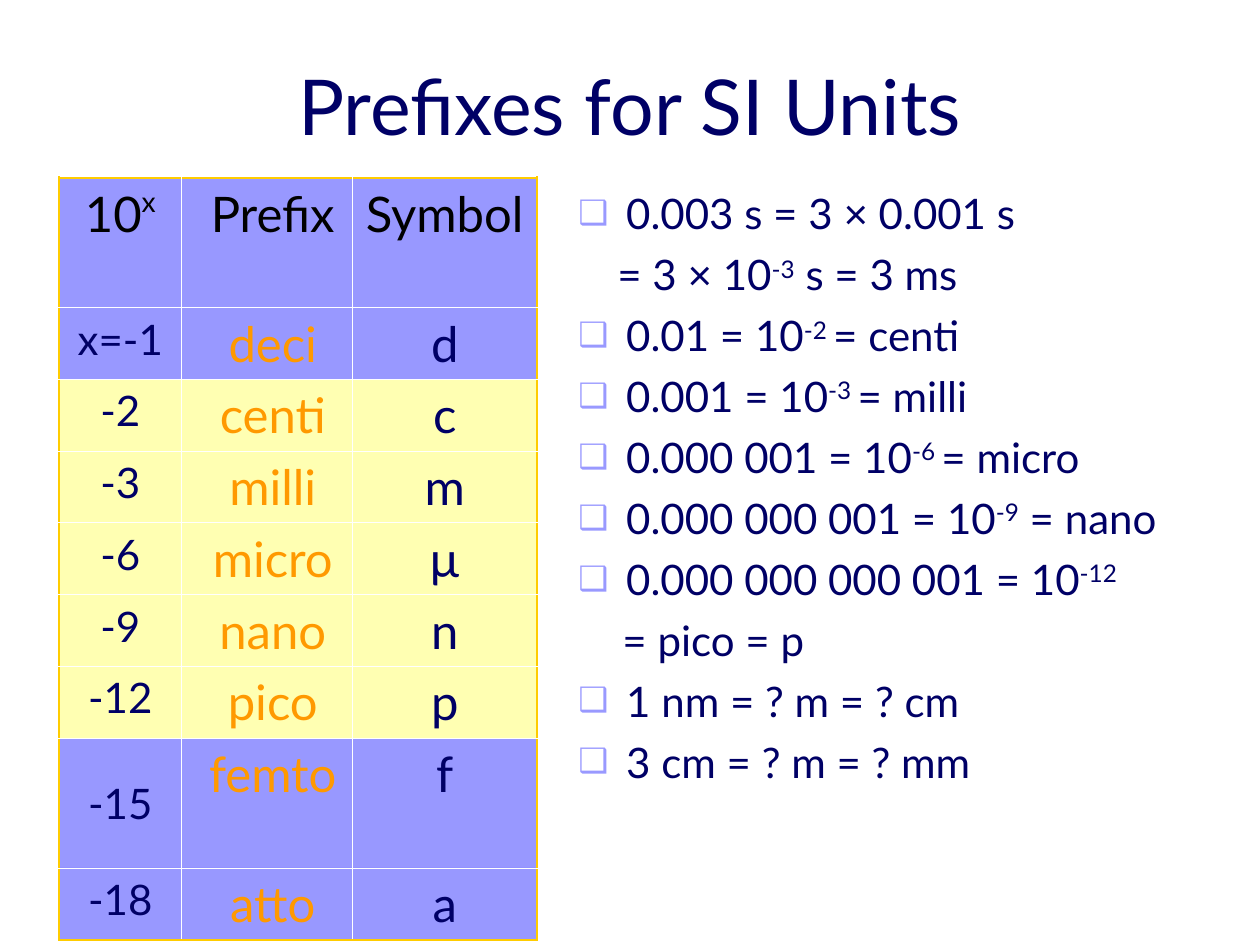
from dataclasses import dataclass
from itertools import groupby
from lxml.etree import SubElement
from pptx import Presentation
from pptx.dml.color import RGBColor
from pptx.enum.text import MSO_ANCHOR, MSO_AUTO_SIZE, PP_ALIGN
from pptx.oxml import parse_xml
from pptx.oxml.ns import nsdecls, qn
from pptx.util import Inches, Pt


@dataclass(frozen=True)
class Theme:
    font: str = "Lato"
    sign_font: str = "Arial"
    ink: str = "000066"
    black: str = "000000"
    orange: str = "FF9900"
    gold: str = "FFCC00"
    white: str = "FFFFFF"
    blue: str = "3333FF"
    yellow: str = "FFFF66"
    bullet: str = "9999FF"
    title: int = 44
    large: int = 28
    text: int = 24
    thick: float = 1.47
    thin: float = 0.45


theme = Theme()


def write(para, text, size, color, raised=30):
    for number, part in enumerate(text.split("^")):
        for is_sign, letters in groupby(part, key=lambda letter: letter == "×"):
            span = para.add_run()
            span.text = "".join(letters)
            values = {"name": theme.sign_font if is_sign else theme.font, "size": Pt(size)}
            for name, value in values.items():
                setattr(span.font, name, value)
            span.font.color.rgb = RGBColor.from_string(color)
            if number % 2:
                span.font._element.set("baseline", str(raised * 1000))


def place(box, left, top, width, height):
    values = {"left": left, "top": top, "width": width, "height": height}
    for name, value in values.items():
        setattr(box, name, int(value * unit))


deck = Presentation()
deck.slide_width, deck.slide_height = Inches(10), Inches(7.5)
unit = deck.slide_width / 100
page = deck.slides.add_slide(deck.slide_layouts[1])

title = page.shapes.title
place(title, 5, 3.3, 90, 10)
title.text_frame.vertical_anchor = MSO_ANCHOR.MIDDLE
title.text_frame.auto_size = MSO_AUTO_SIZE.NONE
title.text_frame.paragraphs[0].alignment = PP_ALIGN.CENTER
write(title.text_frame.paragraphs[0], "Prefixes for SI Units", theme.title, theme.ink)

examples = [
    ("0.003 s = 3 × 0.001 s", None),
    ("= 3 × 10^-3^ s = 3 ms", 3.1),
    ("0.01 = 10^-2 ^= centi", None),
    ("0.001 = 10^-3 ^= milli", None),
    ("0.000 001 = 10^-6 ^= micro", None),
    ("0.000 000 001 = 10^-9^ = nano", None),
    ("0.000 000 000 001 = 10^-12", None),
    ("= pico = p", 3.5),
    ("1 nm = ? m = ? cm", None),
    ("3 cm = ? m = ? mm", None),
]
hanging = 3.8
body = page.placeholders[1]
place(body, 44.9, 14.4, 49.9, 50.8)
body.text_frame.auto_size = MSO_AUTO_SIZE.NONE
for number, (text, indent) in enumerate(examples):
    para = body.text_frame.add_paragraph() if number else body.text_frame.paragraphs[0]
    props = para._p.get_or_add_pPr()
    if indent is None:
        props.set("marL", str(int(hanging * unit)))
        props.set("indent", str(int(-hanging * unit)))
        SubElement(SubElement(props, qn("a:buClr")), qn("a:srgbClr")).set("val", theme.bullet)
        SubElement(props, qn("a:buSzPct")).set("val", "80000")
        SubElement(props, qn("a:buChar")).set("char", "❑")
    else:
        props.set("marL", str(int(indent * unit)))
        props.set("indent", "0")
        SubElement(props, qn("a:buNone"))
    para.space_before = Pt(6 if number else 0)
    write(para, text, theme.text, theme.ink)

prefixes = [
    ("10^x", "Prefix", "Symbol"),
    ("x=-1", "deci", "d"),
    ("-2", "centi", "c"),
    ("-3", "milli", "m"),
    ("-6", "micro", "µ"),
    ("-9", "nano", "n"),
    ("-12", "pico", "p"),
    ("-15", "femto", "f"),
    ("-18", "atto", "a"),
]
widths = [9.7, 13.6, 14.6]
heights = [10.3 if row in (0, 7) else 5.7 for row in range(len(prefixes))]
area = [int(value * unit) for value in (4.7, 14.1, sum(widths), sum(heights))]
table = page.shapes.add_table(len(prefixes), len(widths), *area).table
table.first_row = table.horz_banding = False
for column, width in zip(table.columns, widths):
    column.width = int(width * unit)
for line, height in zip(table.rows, heights):
    line.height = int(height * unit)

body_style = [(theme.text, theme.ink), (theme.large, theme.orange), (theme.large, theme.ink)]
for row, texts in enumerate(prefixes):
    for column, text in enumerate(texts):
        cell = table.cell(row, column)
        size, color = body_style[column] if row else (theme.large, theme.black)
        para = cell.text_frame.paragraphs[0]
        para.alignment = PP_ALIGN.CENTER
        write(para, text, size, color, raised=40)
        if column == 1:
            cell.margin_left = int(1.9 * unit)
        if text == "-15":
            cell.vertical_anchor = MSO_ANCHOR.MIDDLE
        cell.fill.solid()
        cell.fill.fore_color.rgb = RGBColor.from_string(theme.yellow if 2 <= row <= 6 else theme.blue)
        props = cell._tc.get_or_add_tcPr()
        SubElement(props.find(".//" + qn("a:srgbClr")), qn("a:alpha")).set("val", "50000")
        outer = {
            "lnL": column == 0,
            "lnR": column == len(widths) - 1,
            "lnT": row == 0,
            "lnB": row == len(prefixes) - 1,
        }
        for place_in_list, (side, is_outer) in enumerate(outer.items()):
            weight, shade = (theme.thick, theme.gold) if is_outer else (theme.thin, theme.white)
            props.insert(place_in_list, parse_xml(
                f'<a:{side} {nsdecls("a")} w="{Pt(weight)}"><a:solidFill>'
                f'<a:srgbClr val="{shade}"/></a:solidFill></a:{side}>'))

deck.save("out.pptx")
